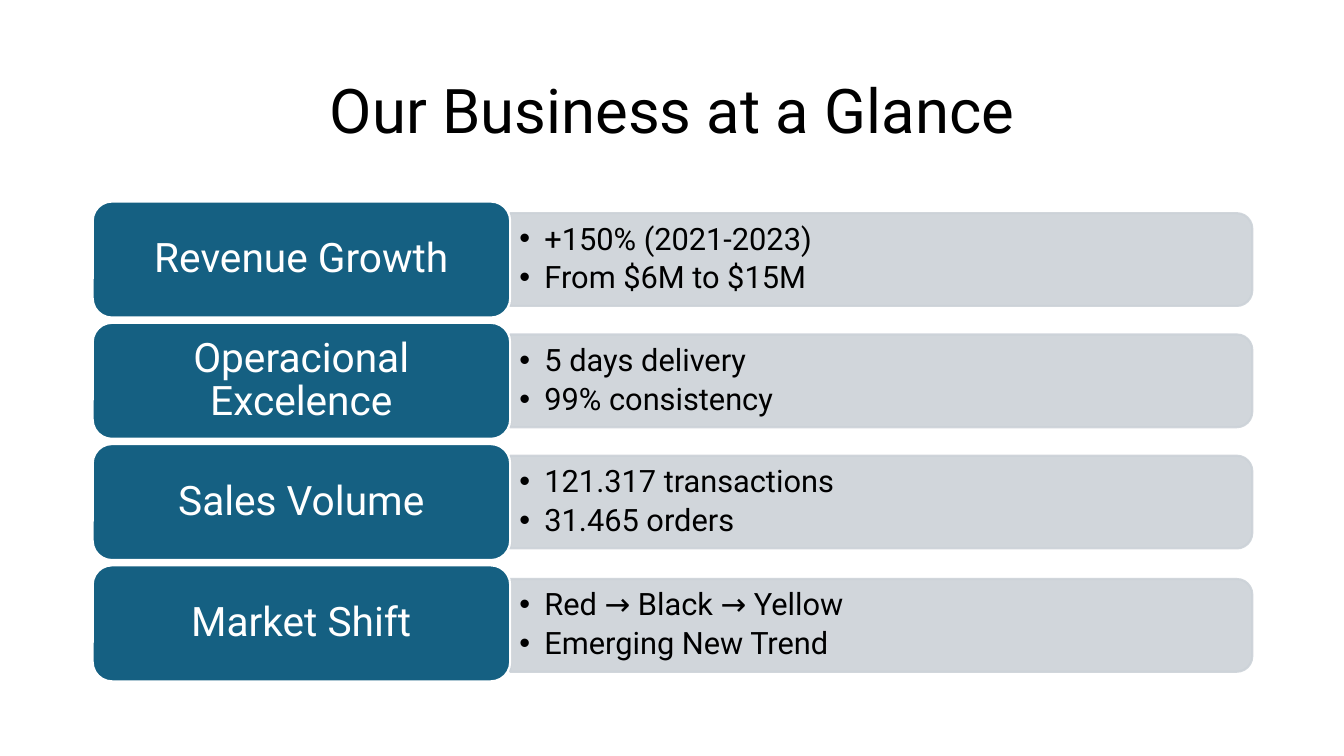
from dataclasses import dataclass

from lxml.etree import SubElement
from pptx import Presentation
from pptx.dml.color import RGBColor
from pptx.enum.shapes import MSO_SHAPE
from pptx.enum.text import MSO_ANCHOR, MSO_AUTO_SIZE, PP_ALIGN
from pptx.oxml.ns import qn
from pptx.util import Inches, Pt

BLACK = RGBColor(0x00, 0x00, 0x00)
WHITE = RGBColor(0xFF, 0xFF, 0xFF)
TEAL = RGBColor(0x15, 0x60, 0x82)
GREY = RGBColor(0xCC, 0xD2, 0xD8)
FONT = "Roboto"

# Row geometry in inches
LEFT, TOP, PITCH = 0.92, 2.0, 1.203
LABEL_W, LABEL_H = 4.14, 1.15
PANEL_X, PANEL_W, PANEL_H = 5.06, 7.36, 0.92


@dataclass
class Row:
    label: str
    facts: list[str]
    panel_shift: float = 0.0


ROWS = [
    Row("Revenue Growth", ["+150% (2021-2023)", "From $6M to $15M"]),
    Row("Operacional Excelence", ["5 days delivery", "99% consistency"]),
    Row("Sales Volume", ["121.317 transactions", "31.465 orders"]),
    Row("Market Shift", ["Red → Black → Yellow", "Emerging New Trend"], 0.02),
]


def add_bullet(p) -> None:
    pPr = p._p.get_or_add_pPr()
    pPr.set("marL", str(Inches(0.25)))
    pPr.set("indent", str(Inches(-0.25)))
    SubElement(pPr, qn("a:buFont"), typeface="Arial")
    SubElement(pPr, qn("a:buChar"), char="•")


def write(sp, lines: list[str], *, size: float, color: RGBColor = BLACK,
          align: PP_ALIGN = PP_ALIGN.CENTER, bullet: bool = False,
          space_after: float = 0, inset: tuple[float, float] = (0.1, 0.05)) -> None:
    """Fill a shape with vertically centred paragraphs."""
    tf = sp.text_frame
    tf.word_wrap = True
    tf.auto_size = MSO_AUTO_SIZE.NONE
    tf.vertical_anchor = MSO_ANCHOR.MIDDLE
    tf.margin_left = tf.margin_right = Inches(inset[0])
    tf.margin_top = tf.margin_bottom = Inches(inset[1])
    for i, line in enumerate(lines):
        p = tf.paragraphs[0] if i == 0 else tf.add_paragraph()
        p.alignment = align
        p.line_spacing = 0.9
        p.space_before = Pt(0)
        p.space_after = Pt(space_after)
        if bullet:
            add_bullet(p)
        r = p.add_run()
        r.text = line
        r.font.name = FONT
        r.font.size = Pt(size)
        r.font.color.rgb = color


def add_box(slide, kind: MSO_SHAPE, x: float, y: float, w: float, h: float,
            fill: RGBColor, line: RGBColor):
    sp = slide.shapes.add_shape(kind, Inches(x), Inches(y), Inches(w), Inches(h))
    sp.shadow.inherit = False
    sp.fill.solid()
    sp.fill.fore_color.rgb = fill
    sp.line.color.rgb = line
    sp.line.width = Pt(1.5)
    return sp


def add_row(slide, row: Row, top: float) -> None:
    middle = top + LABEL_H / 2 + row.panel_shift

    # Fact panel: an upright shape turned so its rounded end faces right
    panel = add_box(slide, MSO_SHAPE.ROUND_2_SAME_RECTANGLE,
                    PANEL_X + (PANEL_W - PANEL_H) / 2, middle - PANEL_W / 2,
                    PANEL_H, PANEL_W, GREY, GREY)
    panel.rotation = 90
    for clr in panel._element.spPr.iter(qn("a:srgbClr")):
        SubElement(clr, qn("a:alpha"), val="90000")

    # Facts
    text_h = 0.83
    facts = slide.shapes.add_textbox(Inches(PANEL_X), Inches(middle - text_h / 2),
                                     Inches(7.32), Inches(text_h))
    write(facts, row.facts, size=22, align=PP_ALIGN.LEFT, bullet=True,
          space_after=4, inset=(0.09, 0.05))

    # Label
    label = add_box(slide, MSO_SHAPE.ROUNDED_RECTANGLE, LEFT, top,
                    LABEL_W, LABEL_H, TEAL, WHITE)
    write(label, [row.label], size=29, color=WHITE, inset=(0.17, 0.06))


def main() -> None:
    prs = Presentation()
    prs.slide_width, prs.slide_height = Inches(13.33), Inches(7.5)
    slide = prs.slides.add_slide(prs.slide_layouts[5])

    # Title
    title = slide.shapes.title
    title.left, title.top = Inches(0.92), Inches(0.4)
    title.width, title.height = Inches(11.5), Inches(1.45)
    write(title, ["Our Business at a Glance"], size=44)

    # Rows
    for i, row in enumerate(ROWS):
        add_row(slide, row, TOP + i * PITCH)

    prs.save("out.pptx")


if __name__ == "__main__":
    main()
